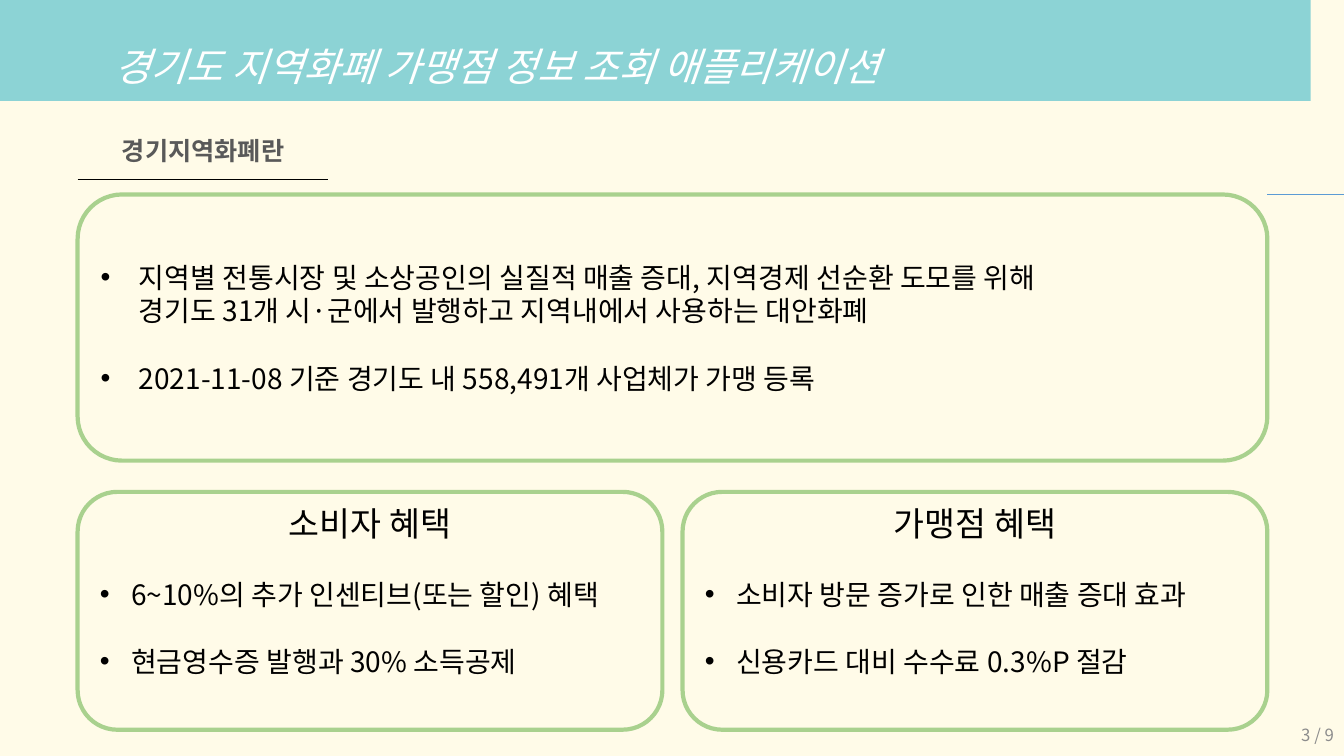
from math import cos, radians, sin

from lxml.etree import SubElement
from pptx import Presentation
from pptx.dml.color import RGBColor
from pptx.enum.shapes import MSO_CONNECTOR, MSO_SHAPE
from pptx.enum.text import MSO_ANCHOR, MSO_AUTO_SIZE, PP_ALIGN
from pptx.oxml.ns import qn
from pptx.util import Inches, Pt

FONT = "Noto Sans CJK KR"
CREAM = RGBColor(0xFF, 0xFB, 0xE8)
TEAL = RGBColor(0x8C, 0xD3, 0xD5)
GREEN = RGBColor(0xA9, 0xD1, 0x8E)
BLUE = RGBColor(0x5B, 0x9B, 0xD5)
BLACK = RGBColor(0, 0, 0)
WHITE = RGBColor(0xFF, 0xFF, 0xFF)
DARK_GRAY = RGBColor(0x59, 0x59, 0x59)
GRAY = RGBColor(0x8C, 0x8C, 0x8C)

LEFT, CARD_W, CARD_STEP = 0.77, 5.8, 6.0
CARD_TOP, CARD_H = 4.88, 2.36
CLOUD_R = 0.16

INTRO = [
    "지역별 전통시장 및 소상공인의 실질적 매출 증대, 지역경제 선순환 도모를 위해\v"
    "경기도 31개 시·군에서 발행하고 지역내에서 사용하는 대안화폐",
    "2021-11-08 기준 경기도 내 558,491개 사업체가 가맹 등록",
]
BENEFITS = [
    ("소비자 혜택", ["6~10%의 추가 인센티브(또는 할인) 혜택",
                "현금영수증 발행과 30% 소득공제"]),
    ("가맹점 혜택", ["소비자 방문 증가로 인한 매출 증대 효과",
                "신용카드 대비 수수료 0.3%P 절감"]),
]


def place(sp, left, top, width, height):
    """Move and size a shape, in inches."""
    sp.left, sp.top = Inches(left), Inches(top)
    sp.width, sp.height = Inches(width), Inches(height)


def add_run(p, text, size, color, bold=False, italic=False):
    """Add one formatted run to a paragraph."""
    r = p.add_run()
    r.text = text
    f = r.font
    f.name, f.size, f.bold, f.italic = FONT, Pt(size), bold, italic
    f.color.rgb = color
    SubElement(r._r.get_or_add_rPr(), qn("a:ea"), typeface=FONT)


def prepare(sp):
    """Return the shape's text frame, wrapped and centred vertically."""
    tf = sp.text_frame
    tf.word_wrap = True
    tf.auto_size = MSO_AUTO_SIZE.NONE
    tf.vertical_anchor = MSO_ANCHOR.MIDDLE
    return tf


def write_line(sp, text, size, color, align=PP_ALIGN.CENTER, **style):
    """Write a single line of text into a shape."""
    p = prepare(sp).paragraphs[0]
    p.alignment = align
    p.space_before = Pt(0)
    add_run(p, text, size, color, **style)


def write_list(sp, items, indent):
    """Write a bulleted list, one line apart, into a shape."""
    tf = prepare(sp)
    for i, item in enumerate(items):
        p = tf.add_paragraph() if i else tf.paragraphs[0]
        p.alignment = PP_ALIGN.LEFT
        p.line_spacing = Pt(24)
        p.space_before = Pt(24 if i else 0)
        pPr = p._p.get_or_add_pPr()
        pPr.set("marL", str(Inches(indent)))
        pPr.set("indent", str(-Inches(indent)))
        SubElement(pPr, qn("a:buFont"), typeface="Arial")
        SubElement(pPr, qn("a:buChar"), char="•")
        for n, line in enumerate(item.split("\v")):
            if n:
                p.add_line_break()
            add_run(p, line, 20, BLACK)


def add_text(s, box, text, size, color, **style):
    """Add a text box with a single line."""
    sp = s.shapes.add_textbox(*map(Inches, box))
    write_line(sp, text, size, color, **style)


def add_frame(s, left, top, width, height):
    """Add an unfilled rounded green frame."""
    sp = s.shapes.add_shape(MSO_SHAPE.ROUNDED_RECTANGLE,
                            *map(Inches, (left, top, width, height)))
    sp.shadow.inherit = False
    sp.fill.background()
    sp.line.color.rgb = GREEN
    sp.line.width = Pt(3)
    return sp


def add_rule(s, x1, x2, y, color, width):
    """Add a horizontal line."""
    ln = s.shapes.add_connector(MSO_CONNECTOR.STRAIGHT,
                                *map(Inches, (x1, y, x2, y)))
    ln.line.color.rgb = color
    ln.line.width = Pt(width)
    SubElement(ln._element.spPr, qn("a:effectLst"))


def arc(cx, cy, start, end, steps=10):
    """Return the points of a cloud corner; angles run clockwise."""
    angles = [radians(start + (end - start) * i / steps) for i in range(steps + 1)]
    return [(cx + CLOUD_R * cos(a), cy + CLOUD_R * sin(a)) for a in angles]


def add_banner(s):
    """Add the teal sky with a cloud-shaped lower edge, behind everything."""
    points = [
        (13.33, 0), (13.33, 0.68),
        *arc(12.2, 0.84, 270, 180), (12.04, 0.87),
        *arc(10.92, 1.03, 270, 180), (10.76, 1.06),
        *arc(8.88, 1.14, 330, 270),
        *arc(5.86, 1.14, 270, 210), (0.76, 1.06),
        *arc(0.6, 1.03, 360, 270),
        *arc(0.27, 0.87, 360, 270), (0, 0.71),
    ]
    fb = s.shapes.build_freeform(0, 0, scale=Inches(1))
    fb.add_line_segments(points, close=True)
    sp = fb.convert_to_shape()
    sp.shadow.inherit = False
    sp.fill.solid()
    sp.fill.fore_color.rgb = TEAL
    sp.line.fill.background()
    s.shapes._spTree.insert(2, sp._element)


def add_benefit(s, index, heading, items):
    """Add a benefit card: frame, heading and list."""
    left = LEFT + index * CARD_STEP
    add_frame(s, left, CARD_TOP, CARD_W, CARD_H)
    title, body = (s.placeholders[2 * index + n] for n in (1, 2))
    place(title, left, CARD_TOP, CARD_W, 0.62)
    write_line(title, heading, 24, BLACK)
    place(body, left + 0.12, 5.5, CARD_W - 0.12, 1.45)
    write_list(body, items, 0.31)


def main():
    """Build the slide and save it."""
    prs = Presentation()
    prs.slide_width, prs.slide_height = Inches(13.33), Inches(7.5)
    s = prs.slides.add_slide(prs.slide_layouts.get_by_name("Comparison"))
    s.background.fill.solid()
    s.background.fill.fore_color.rgb = CREAM

    add_banner(s)
    place(s.shapes.title, 1.04, 0.25, 10, 0.8)
    write_line(s.shapes.title, "경기도 지역화폐 가맹점 정보 조회 애플리케이션", 28, WHITE,
               align=PP_ALIGN.LEFT, italic=True)

    add_text(s, (0.93, 1.2, 2.17, 0.58), "경기지역화폐란", 18, DARK_GRAY, bold=True)
    add_rule(s, LEFT, 3.25, 1.78, BLACK, 1)
    add_rule(s, 12.57, 13.33, 1.93, BLUE, 0.5)

    write_list(add_frame(s, LEFT, 1.93, 11.8, 2.64), INTRO, 0.38)
    for i, (heading, items) in enumerate(BENEFITS):
        add_benefit(s, i, heading, items)

    add_text(s, (10.33, 7.09, 3, 0.4), "3 / 9", 12, GRAY, align=PP_ALIGN.RIGHT)
    prs.save("out.pptx")


main()
